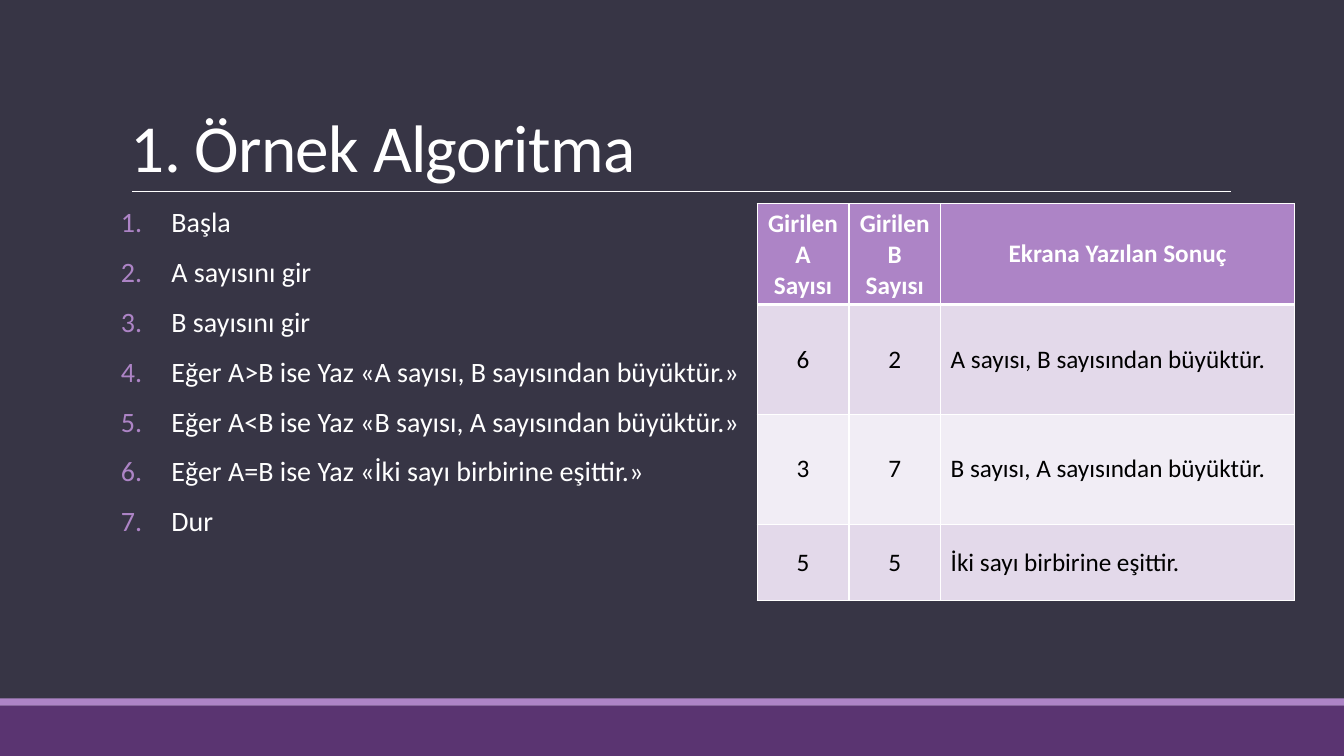
"""Build the slide with a numbered example algorithm and its table of results."""
from lxml import etree
from pptx import Presentation
from pptx.dml.color import RGBColor
from pptx.enum.shapes import MSO_CONNECTOR, MSO_SHAPE
from pptx.enum.text import MSO_ANCHOR, PP_ALIGN
from pptx.oxml.ns import qn
from pptx.util import Inches, Pt

BACKGROUND = RGBColor(0x37, 0x35, 0x45)
PURPLE = RGBColor(0x5A, 0x34, 0x71)
LILAC = RGBColor(0xAD, 0x84, 0xC6)
BAND_DARK = RGBColor(0xE3, 0xD9, 0xEA)
BAND_LIGHT = RGBColor(0xF1, 0xED, 0xF5)
WHITE = RGBColor(0xFF, 0xFF, 0xFF)
BLACK = RGBColor(0x00, 0x00, 0x00)

STEPS = [
    "Başla",
    "A sayısını gir",
    "B sayısını gir",
    "Eğer A>B ise Yaz «A sayısı, B sayısından büyüktür.»",
    "Eğer A<B ise Yaz «B sayısı, A sayısından büyüktür.»",
    "Eğer A=B ise Yaz «İki sayı birbirine eşittir.»",
    "Dur",
]
RESULTS = [
    ("Girilen A Sayısı", "Girilen B Sayısı", "Ekrana Yazılan Sonuç"),
    ("6", "2", "A sayısı, B sayısından büyüktür."),
    ("3", "7", "B sayısı, A sayısından büyüktür."),
    ("5", "5", "İki sayı birbirine eşittir."),
]
COLUMN_WIDTHS = [0.91, 0.91, 3.51]
ROW_HEIGHTS = [1, 1.09, 1.09, 0.76]


def add_run(paragraph, text, size, color, bold=False):
    run = paragraph.add_run()
    run.text = text
    run.font.name = "Calibri"
    run.font.size = Pt(size)
    run.font.bold = bold
    run.font.color.rgb = color
    return run


def add_border(cell, side, points):
    line = etree.SubElement(cell._tc.get_or_add_tcPr(), qn(f"a:ln{side}"), w=str(Pt(points)))
    fill = etree.SubElement(line, qn("a:solidFill"))
    etree.SubElement(fill, qn("a:srgbClr"), val=str(WHITE))


prs = Presentation()
prs.slide_width, prs.slide_height = Inches(13.33), Inches(7.5)
slide = prs.slides.add_slide(prs.slide_layouts[6])
slide.background.fill.solid()
slide.background.fill.fore_color.rgb = BACKGROUND

for top, height, color in [(7, 0.5, PURPLE), (6.93, 0.07, LILAC)]:
    strip = slide.shapes.add_shape(
        MSO_SHAPE.RECTANGLE, 0, Inches(top), prs.slide_width, Inches(height))
    strip.shadow.inherit = False
    strip.fill.solid()
    strip.fill.fore_color.rgb = color
    strip.line.fill.background()

rule = slide.shapes.add_connector(
    MSO_CONNECTOR.STRAIGHT, Inches(1.31), Inches(1.9), Inches(12.21), Inches(1.9))
rule.line.color.rgb = WHITE
rule.line.width = Pt(0.5)
etree.SubElement(rule._element.spPr, qn("a:effectLst"))

title = slide.shapes.add_textbox(Inches(1.2), Inches(0.31), Inches(11), Inches(1.59)).text_frame
title.word_wrap = True
title.vertical_anchor = MSO_ANCHOR.BOTTOM
title.paragraphs[0].line_spacing = 0.85
title_run = add_run(title.paragraphs[0], "1. Örnek Algoritma", 48, WHITE)
title_run.font._element.set("spc", "-50")

steps = slide.shapes.add_textbox(Inches(1.2), Inches(2.02), Inches(6.31), Inches(4.4)).text_frame
steps.word_wrap = True
steps.margin_left = steps.margin_right = 0
for index, step in enumerate(STEPS):
    paragraph = steps.add_paragraph() if index else steps.paragraphs[0]
    paragraph.line_spacing = 0.9
    paragraph.space_before = Pt(12)
    paragraph.space_after = Pt(2)
    properties = paragraph._p.get_or_add_pPr()
    properties.set("marL", str(Inches(0.5)))
    properties.set("indent", str(Inches(-0.5)))
    bullet_color = etree.SubElement(properties, qn("a:buClr"))
    etree.SubElement(bullet_color, qn("a:srgbClr"), val=str(LILAC))
    etree.SubElement(properties, qn("a:buFont"), typeface="+mj-lt")
    etree.SubElement(properties, qn("a:buAutoNum"), type="arabicPeriod")
    add_run(paragraph, step, 20, WHITE)

table = slide.shapes.add_table(
    len(RESULTS), len(COLUMN_WIDTHS), Inches(7.51), Inches(2.02),
    Inches(sum(COLUMN_WIDTHS)), Inches(sum(ROW_HEIGHTS))).table
for column, width in zip(table.columns, COLUMN_WIDTHS):
    column.width = Inches(width)
for row, height in zip(table.rows, ROW_HEIGHTS):
    row.height = Inches(height)
for r, values in enumerate(RESULTS):
    header = r == 0
    for c, value in enumerate(values):
        cell = table.cell(r, c)
        cell.vertical_anchor = MSO_ANCHOR.MIDDLE
        for side in "LRTB":
            under_header = (r, side) in [(0, "B"), (1, "T")]
            add_border(cell, side, 3 if under_header else 1)
        cell.fill.solid()
        cell.fill.fore_color.rgb = LILAC if header else BAND_DARK if r % 2 else BAND_LIGHT
        paragraph = cell.text_frame.paragraphs[0]
        paragraph.alignment = PP_ALIGN.CENTER if header or c < 2 else PP_ALIGN.LEFT
        add_run(paragraph, value, 18, WHITE if header else BLACK, header)

prs.save("out.pptx")
